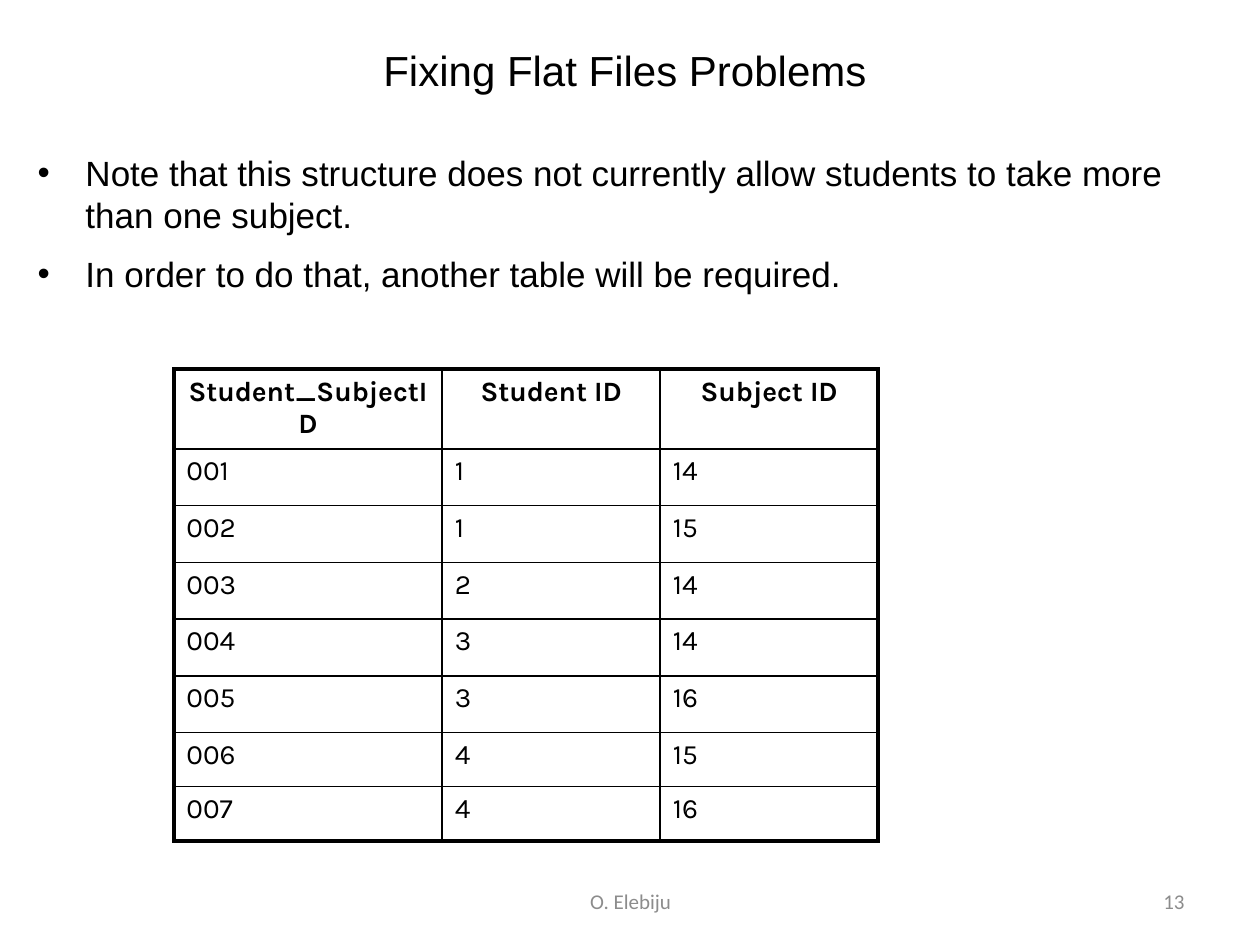
from lxml import etree
from pptx import Presentation
from pptx import util as u
from pptx.dml.color import RGBColor
from pptx.enum import text as t
from pptx.oxml import ns

WIDE, HIGH = 10, 7.5
INK, GREY = "000000", "8C8C8C"
THIN, THICK = 1, 2.25
LEFT, MID, RIGHT = t.PP_ALIGN.LEFT, t.PP_ALIGN.CENTER, t.PP_ALIGN.RIGHT

POINTS = [
    "Note that this structure does not currently allow students to take more than one subject.",
    "In order to do that, another table will be required.",
]
HEADS = ["Student_SubjectID", "Student ID", "Subject ID"]
PAIRS = [(1, 14), (1, 15), (2, 14), (3, 14), (3, 16), (4, 15), (4, 16)]
COLS = [2.13, 1.73, 1.73]
ROWS = [0.45] * 6 + [0.43] * 2


def paint(code):
    return RGBColor.from_string(code)


def add_xml(parent, tag, **attrs):
    return etree.SubElement(parent, ns.qn(tag), **attrs)


def write(frame, *lines, font="Arial", size=20, color=INK, bold=False,
          align=LEFT, gap=0, bullet=None):
    """Fill a text frame with one paragraph per line."""
    frame.word_wrap = True
    for i, line in enumerate(lines):
        para = frame.add_paragraph() if i else frame.paragraphs[0]
        para.alignment = align
        para.space_before = u.Pt(gap if i else 0)
        if bullet:
            props = para._p.get_or_add_pPr()
            props.set("marL", str(u.Inches(0.38)))
            props.set("indent", str(u.Inches(-0.38)))
            add_xml(props, "a:buFont", typeface="Arial")
            add_xml(props, "a:buChar", char=bullet)
        run = para.add_run()
        run.text = line
        run.font.name, run.font.size = font, u.Pt(size)
        run.font.bold = bold
        run.font.color.rgb = paint(color)


def add_box(slide, x, y, w, h, *lines, anchor=t.MSO_ANCHOR.MIDDLE, **style):
    box = slide.shapes.add_textbox(*map(u.Inches, (x, y, w, h)))
    box.text_frame.vertical_anchor = anchor
    write(box.text_frame, *lines, **style)


def add_edge(cell, side, width):
    line = add_xml(cell._tc.get_or_add_tcPr(), "a:ln" + side, w=str(u.Pt(width)))
    add_xml(add_xml(line, "a:solidFill"), "a:srgbClr", val=INK)


def add_grid(slide, x, y, data):
    """Table with a thick outer frame and thin inner lines."""
    size = map(u.Inches, (x, y, sum(COLS), sum(ROWS)))
    table = slide.shapes.add_table(len(ROWS), len(COLS), *size).table
    table.first_row = table.horz_banding = False
    for col, width in zip(table.columns, COLS):
        col.width = u.Inches(width)
    for r, (row, high) in enumerate(zip(table.rows, ROWS)):
        row.height = u.Inches(high)
        for c, cell in enumerate(row.cells):
            head = r == 0
            write(cell.text_frame, data[r][c], font="Karla", size=16,
                  bold=head, align=MID if head else LEFT)
            outer = {"L": c == 0, "R": c == len(COLS) - 1,
                     "T": head, "B": r == len(ROWS) - 1}
            for side, edge in outer.items():
                add_edge(cell, side, THICK if edge else THIN)
            cell.fill.background()


def main():
    deck = Presentation()
    deck.slide_width, deck.slide_height = u.Inches(WIDE), u.Inches(HIGH)
    slide = deck.slides.add_slide(deck.slide_layouts[6])

    # Title and points
    add_box(slide, 0.46, 0.21, 0.9 * WIDE, 0.69, "Fixing Flat Files Problems",
            size=24, align=MID)
    add_box(slide, 0.2, 1.15, 9.45, 0.74 * HIGH, *POINTS,
            anchor=t.MSO_ANCHOR.TOP, gap=10, bullet="•")

    # Link table
    body = [[f"{n:03}", str(who), str(what)]
            for n, (who, what) in enumerate(PAIRS, 1)]
    add_grid(slide, 1.38, 2.93, [HEADS] + body)

    # Footer
    foot = dict(font="Calibri", size=12, color=GREY)
    add_box(slide, 3.42, 6.95, 3.17, 0.4, "O. Elebiju", align=MID, **foot)
    add_box(slide, 7.17, 6.95, 2.33, 0.4, "13", align=RIGHT, **foot)

    deck.save("out.pptx")


if __name__ == "__main__":
    main()
